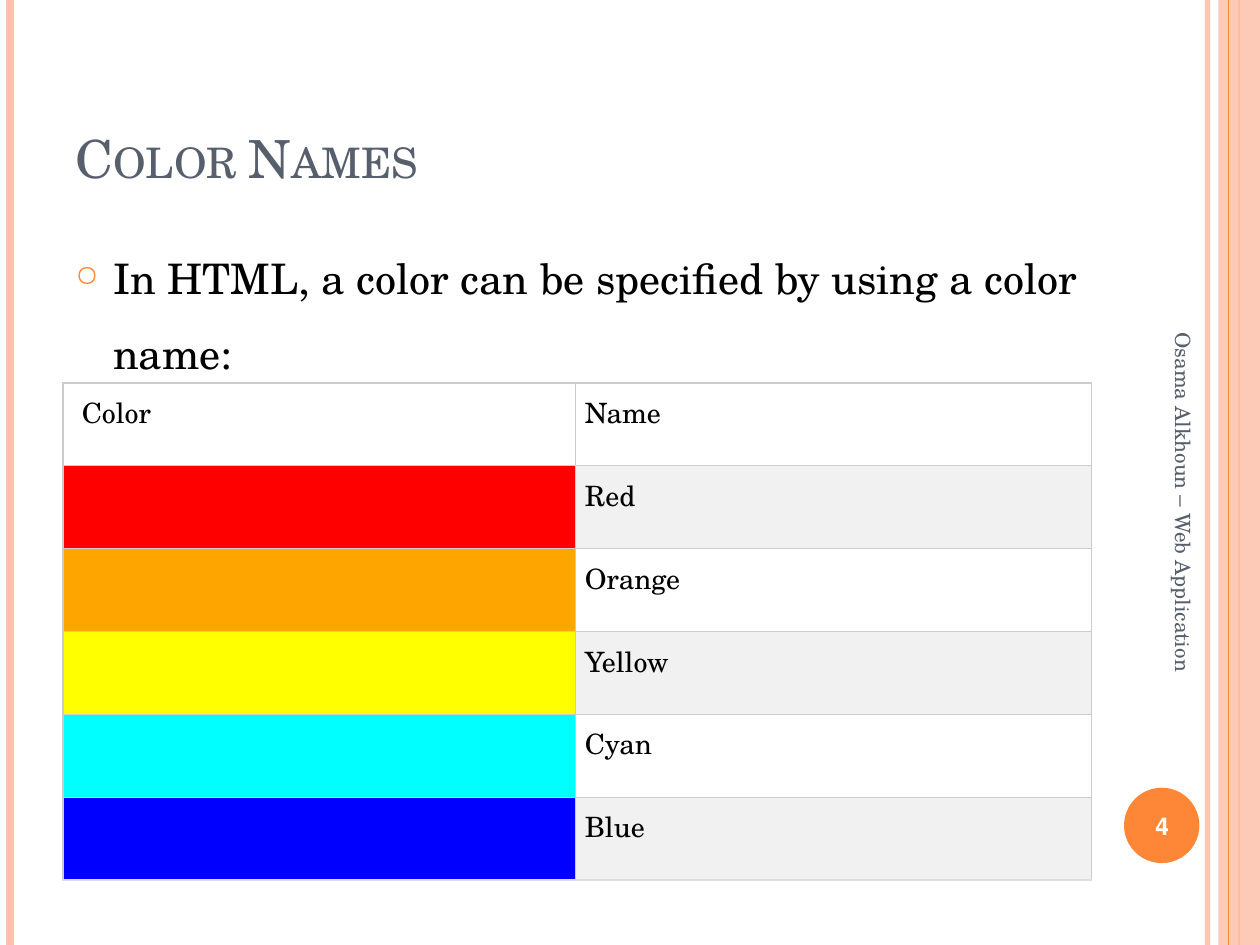
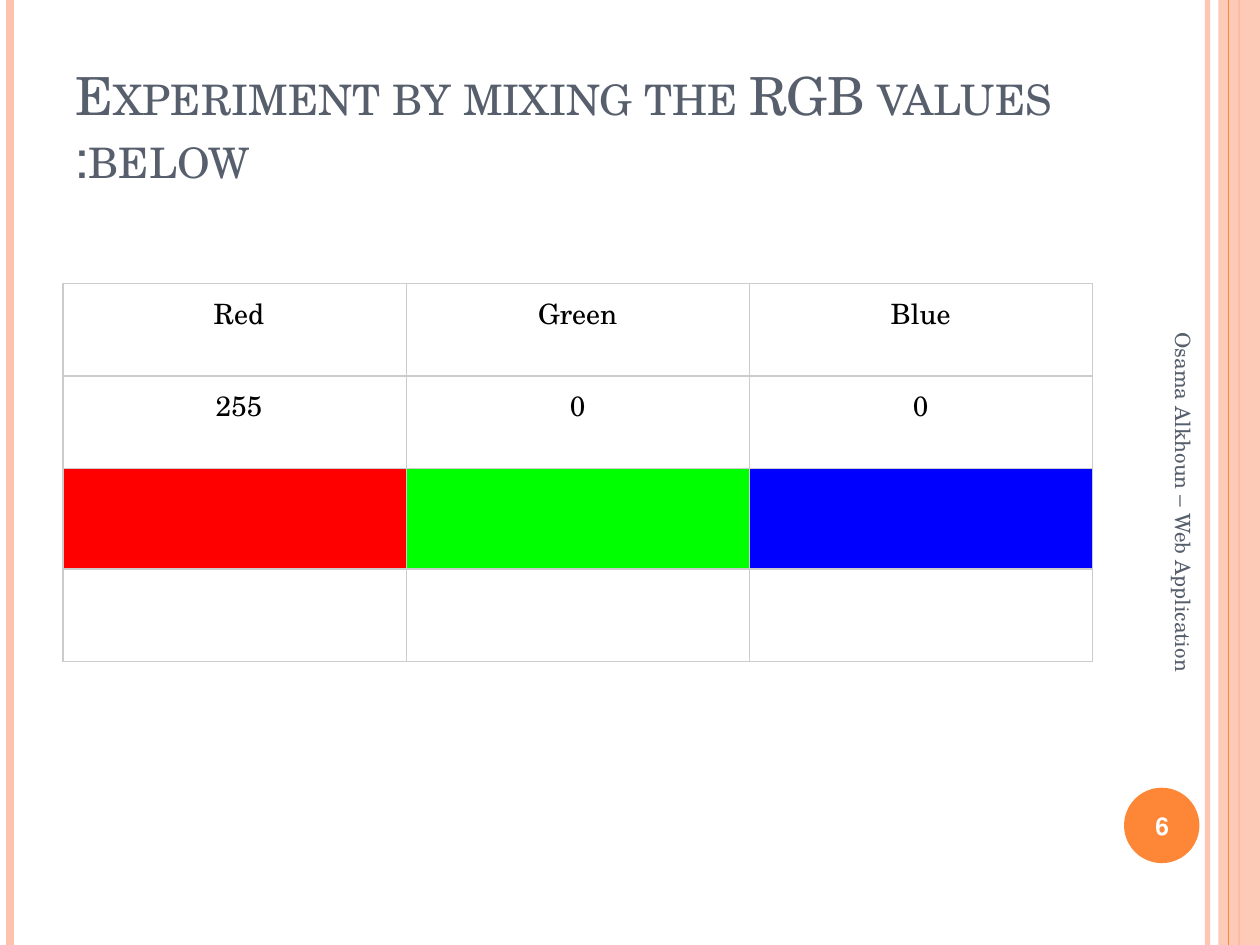
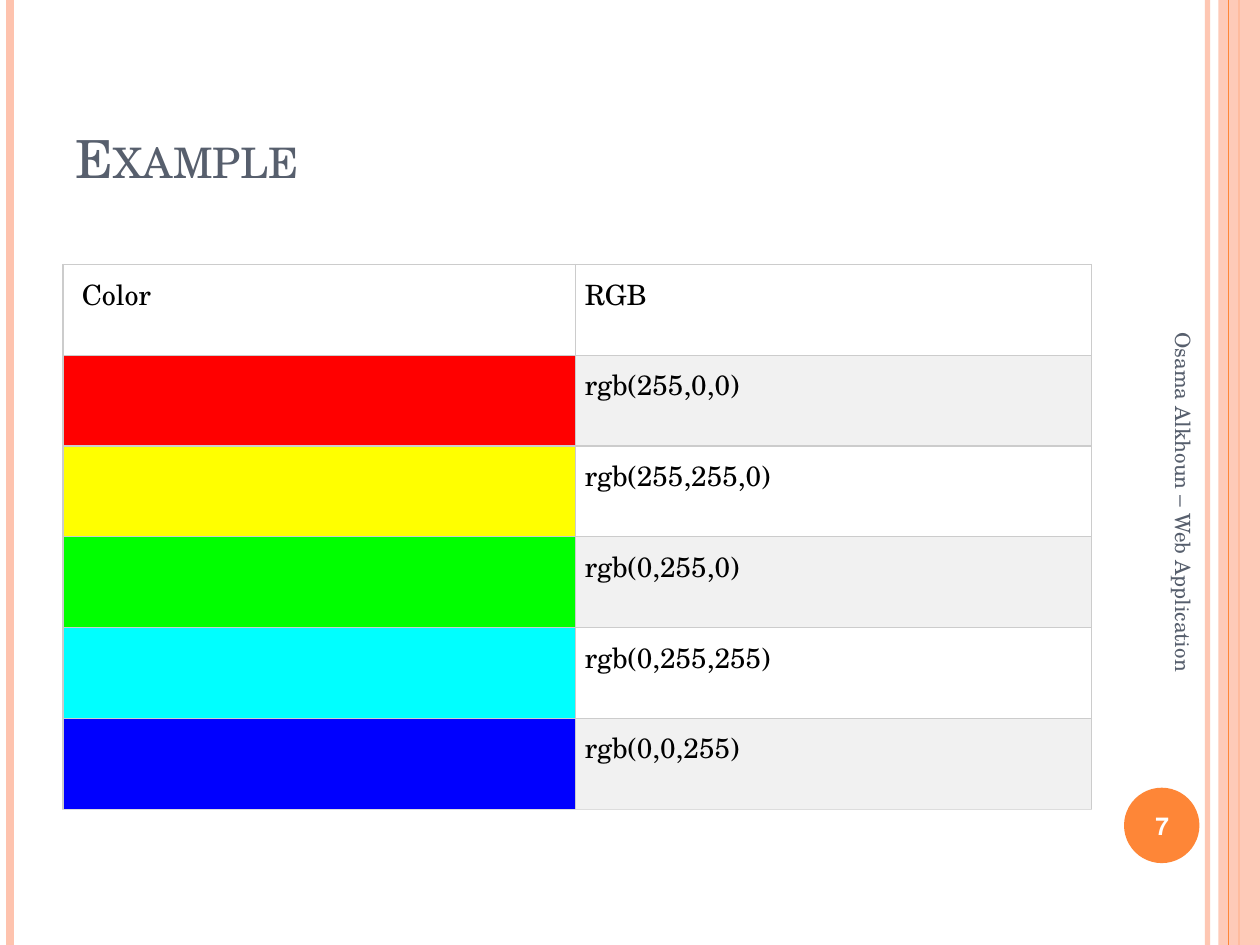
from lxml.etree import SubElement
from pptx import Presentation
from pptx.dml.color import RGBColor
from pptx.enum.shapes import MSO_CONNECTOR, MSO_SHAPE
from pptx.enum.text import MSO_ANCHOR, PP_ALIGN
from pptx.oxml.ns import qn
from pptx.util import Cm, Pt

# Colours
WHITE = RGBColor(0xFF, 0xFF, 0xFF)
BLACK = RGBColor(0x00, 0x00, 0x00)
SLATE = RGBColor(0x57, 0x5F, 0x6D)
ACCENT = RGBColor(0xFE, 0x86, 0x37)
PEACH = RGBColor(0xFE, 0xC3, 0xAE)
STRIPE = RGBColor(0xF1, 0xF1, 0xF1)
BORDER = RGBColor(0xCC, 0xCC, 0xCC)
BORDER_LAST = RGBColor(0xDD, 0xDD, 0xDD)
RED = RGBColor(0xFF, 0x00, 0x00)
ORANGE = RGBColor(0xFF, 0xA5, 0x00)
YELLOW = RGBColor(0xFF, 0xFF, 0x00)
LIME = RGBColor(0x00, 0xFF, 0x00)
CYAN = RGBColor(0x00, 0xFF, 0xFF)
BLUE = RGBColor(0x00, 0x00, 0xFF)

# Shared type and layout, lengths in cm
FONT = "TeX Gyre Schola"
SLIDE_W, SLIDE_H = 25.4, 19.05
LEFT, CONTENT_W = 1.27, 20.75
CELL_PAD = 0.18
SWATCH_COLS = (10.34, 10.4)
FOOTER = "Osama Alkhoun \u2013 Web Application"


def set_alpha(fill_parent, percent):
    color = next(fill_parent.iter(qn("a:srgbClr")))
    SubElement(color, qn("a:alpha"), val=str(percent * 1000))


def add_run(p, text, size, color, bold=False):
    r = p.add_run()
    r.text = text
    r.font.name = FONT
    r.font.size = Pt(size)
    r.font.color.rgb = color
    r.font.bold = bold
    return r


def set_direction(p, align, rtl):
    p.alignment = align
    if rtl:
        p._p.get_or_add_pPr().set("rtl", "1")


def add_text_box(s, x, y, w, h, anchor):
    box = s.shapes.add_textbox(Cm(x), Cm(y), Cm(w), Cm(h))
    tf = box.text_frame
    tf.word_wrap = True
    tf.vertical_anchor = anchor
    return box, tf.paragraphs[0]


def add_panel(s, kind, x, y, w, h, color):
    sp = s.shapes.add_shape(kind, Cm(x), Cm(y), Cm(w), Cm(h))
    sp.shadow.inherit = False
    sp.fill.solid()
    sp.fill.fore_color.rgb = color
    sp.line.fill.background()
    return sp


def add_rule(s, x, color, width):
    line = s.shapes.add_connector(MSO_CONNECTOR.STRAIGHT, Cm(x), 0, Cm(x), Cm(SLIDE_H))
    line.line.color.rgb = color
    line.line.width = Pt(width)
    SubElement(line._element.spPr, qn("a:effectLst"))
    return line


def add_frame(s, number):
    # Side bands and number disc
    add_panel(s, MSO_SHAPE.OVAL, 22.66, 15.88, 1.52, 1.52, ACCENT)
    inner = add_rule(s, 24.34, PEACH, 3)
    set_alpha(inner._element.spPr, 93)
    add_rule(s, 0.2, PEACH, 4.5)
    add_rule(s, 24.98, ACCENT, 1.5)
    band = add_panel(s, MSO_SHAPE.RECTANGLE, 24.56, 0, 0.84, SLIDE_H, PEACH)
    set_alpha(band._element.spPr, 87)
    add_rule(s, 24.77, ACCENT, 0.75)

    # Footer running down the side, and slide number
    box, p = add_text_box(s, 19.41, 10.39, 8.89, 1.02, MSO_ANCHOR.MIDDLE)
    box.rotation = 90
    set_direction(p, PP_ALIGN.LEFT, True)
    add_run(p, FOOTER, 12, SLATE)
    _, p = add_text_box(s, 22.58, 15.93, 1.7, 1.45, MSO_ANCHOR.MIDDLE)
    set_direction(p, PP_ALIGN.CENTER, True)
    add_run(p, str(number), 14, WHITE, bold=True)


def add_title(s, text):
    _, p = add_text_box(s, LEFT, 0.76, CONTENT_W, 3.18, MSO_ANCHOR.BOTTOM)
    set_direction(p, PP_ALIGN.LEFT, True)
    r = add_run(p, text, 30, SLATE)
    r.font._element.set("cap", "small")


def add_bullet(s, text):
    _, p = add_text_box(s, LEFT, 4.45, CONTENT_W, 13.54, MSO_ANCHOR.TOP)
    p.line_spacing = 1.5
    p.space_before = Pt(6)
    pPr = p._p.get_or_add_pPr()
    pPr.set("marL", str(Cm(0.76)))
    pPr.set("indent", str(Cm(-0.76)))
    color = SubElement(pPr, qn("a:buClr"))
    SubElement(color, qn("a:srgbClr"), val=str(ACCENT))
    SubElement(pPr, qn("a:buSzPct"), val="70000")
    SubElement(pPr, qn("a:buChar"), char="\u25cb")
    add_run(p, text, 24, BLACK)


def set_borders(cell, bottom):
    tcPr = cell._tc.get_or_add_tcPr()
    for side in ("L", "R", "T", "B"):
        ln = SubElement(tcPr, qn("a:ln" + side), w=str(Pt(0.75)))
        fill = SubElement(ln, qn("a:solidFill"))
        color = bottom if side == "B" else BORDER
        SubElement(fill, qn("a:srgbClr"), val=str(color))


def fill_cell(cell, text, fill, pad_left, align, rtl, bottom):
    set_borders(cell, bottom)
    if fill is None:
        cell.fill.background()
    else:
        cell.fill.solid()
        cell.fill.fore_color.rgb = fill
    if text:
        cell.margin_left = Cm(pad_left)
        cell.margin_right = cell.margin_top = cell.margin_bottom = Cm(CELL_PAD)
        p = cell.text_frame.paragraphs[0]
        set_direction(p, align, rtl)
        add_run(p, text, 16, BLACK)


def add_grid(s, y, cols, heights, rows, first_pad, align, rtl, last=BORDER):
    """Each row is a list of (text, fill) pairs."""
    frame = s.shapes.add_table(len(rows), len(cols), Cm(LEFT), Cm(y),
                               Cm(sum(cols)), Cm(sum(heights)))
    table = frame.table
    table.first_row = table.horz_banding = False
    for column, width in zip(table.columns, cols):
        column.width = Cm(width)
    for i, row in enumerate(rows):
        table.rows[i].height = Cm(heights[i])
        bottom = last if i == len(rows) - 1 else BORDER
        for j, (text, fill) in enumerate(row):
            pad = first_pad if j == 0 else CELL_PAD
            fill_cell(table.cell(i, j), text, fill, pad, align, rtl, bottom)


def add_swatch_table(s, y, row_h, heading, swatches):
    rows = [[("Color", WHITE), (heading, WHITE)]]
    for i, (color, label) in enumerate(swatches):
        rows.append([("", color), (label, WHITE if i % 2 else STRIPE)])
    add_grid(s, y, SWATCH_COLS, [row_h] * len(rows), rows, 0.38,
             PP_ALIGN.LEFT, True, BORDER_LAST)


def add_slide(prs, title, number):
    s = prs.slides.add_slide(prs.slide_layouts[6])
    s.background.fill.solid()
    s.background.fill.fore_color.rgb = WHITE
    add_frame(s, number)
    add_title(s, title)
    return s


def main():
    prs = Presentation()
    prs.slide_width, prs.slide_height = Cm(SLIDE_W), Cm(SLIDE_H)

    # Color names
    s = add_slide(prs, "Color Names", 4)
    add_bullet(s, "In HTML, a color can be specified by using a color name:")
    add_swatch_table(s, 7.72, 1.67, "Name", [
        (RED, "Red"), (ORANGE, "Orange"), (YELLOW, "Yellow"),
        (CYAN, "Cyan"), (BLUE, "Blue")])

    # Mixing RGB values
    s = add_slide(prs, "Experiment by mixing the RGB values below:", 6)
    rows = [[(text, None) for text in texts]
            for texts in (("Red", "Green", "Blue"), ("255", "0", "0"))]
    rows.append([("", color) for color in (RED, LIME, BLUE)])
    rows.append([("", None)] * 3)
    add_grid(s, 5.72, [CONTENT_W / 3] * 3, (1.86, 1.86, 2.03, 1.86), rows,
             0.36, PP_ALIGN.CENTER, False)

    # RGB example: labels follow from the colours
    s = add_slide(prs, "Example", 7)
    add_swatch_table(s, 5.33, 1.83, "RGB", [
        (color, "rgb({},{},{})".format(*color))
        for color in (RED, YELLOW, LIME, CYAN, BLUE)])

    prs.save("out.pptx")


main()
